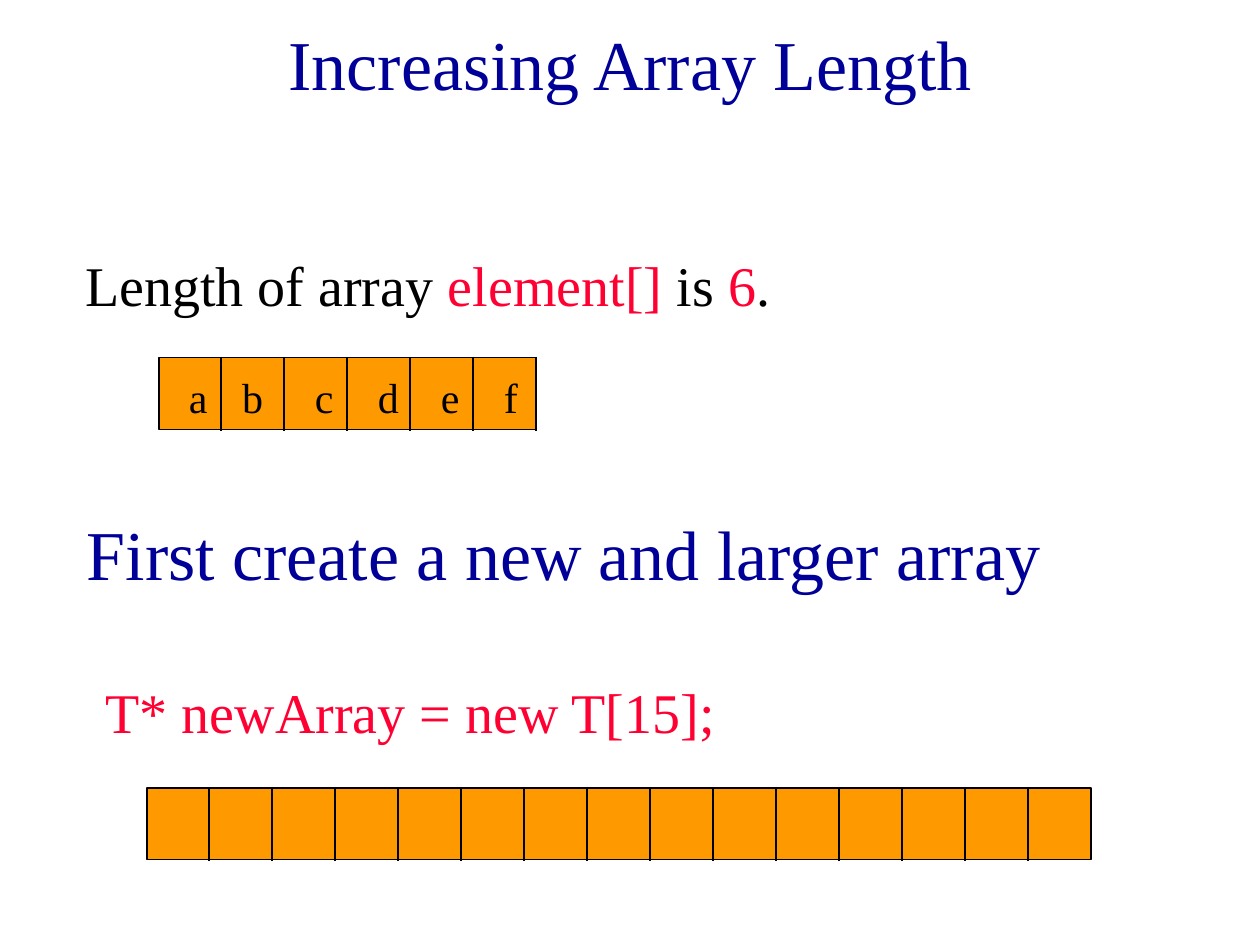
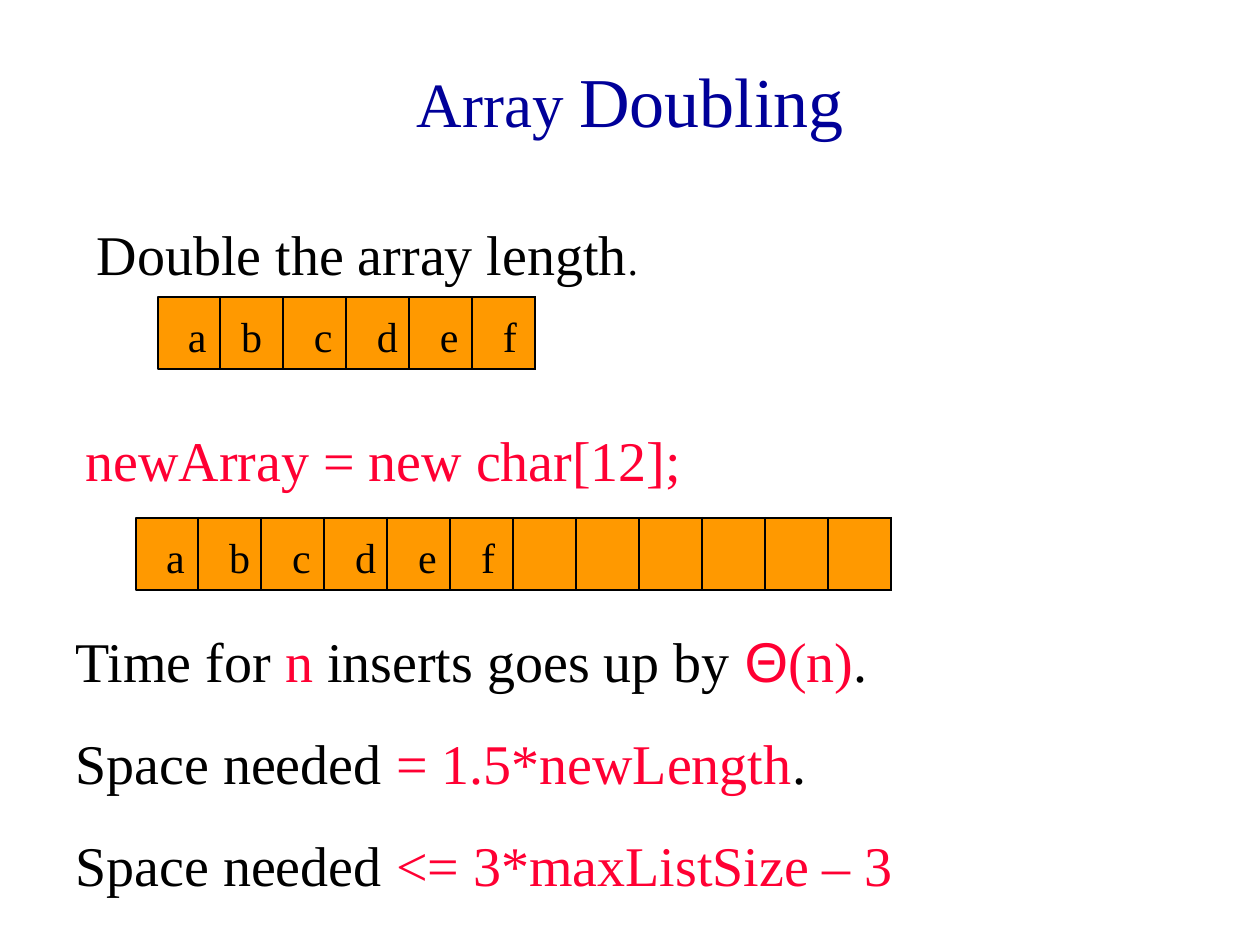
from lxml import etree
from pptx import Presentation, util as u
from pptx.dml.color import RGBColor
from pptx.enum import shapes, text
from pptx.oxml import ns

Cm = u.Cm

# Shared look
NAVY = RGBColor(0x00, 0x00, 0x99)
RED = RGBColor(0xFF, 0x00, 0x33)
BLACK = RGBColor(0x00, 0x00, 0x00)
ORANGE = RGBColor(0xFF, 0x99, 0x00)
FONT = "Times New Roman"
BODY, HEAD, SMALL = 32, 40, 24

# Array cells, in centimetres
STEP, TALL, GAP = 1.27, 1.45, 0.02
WIDTHS = {"a": 0.89, "b": 0.94, "c": 0.89, "d": 0.94, "e": 0.89, "f": 0.79}


def add_text(host, box, paras, wrap=True, grow=True, space=0):
    """Each paragraph is a list of runs: (words, colour, size, font)."""
    frame = host.add_textbox(*map(Cm, box)).text_frame
    frame.word_wrap = wrap
    if grow:
        frame.auto_size = text.MSO_AUTO_SIZE.SHAPE_TO_FIT_TEXT
    for i, runs in enumerate(paras):
        para = frame.add_paragraph() if i else frame.paragraphs[0]
        if i:
            para.space_before = u.Pt(space)
        for words, color, size, *face in runs:
            run = para.add_run()
            run.text = words
            run.font.name = face[0] if face else FONT
            run.font.size = u.Pt(size)
            run.font.color.rgb = color
    return frame


def add_title(host, top, tall, runs):
    frame = add_text(host, (1.91, top, 21.59, tall), [runs], grow=False)
    frame.vertical_anchor = text.MSO_ANCHOR.MIDDLE
    frame.paragraphs[0].alignment = text.PP_ALIGN.CENTER


def add_lead(host, left, top, runs):
    frame = add_text(host, (left, top, 21.59, 1.47), [runs], grow=False)
    frame.paragraphs[0].line_spacing = 0.9


def add_line(host, x, top, end):
    line = host.add_connector(shapes.MSO_CONNECTOR.STRAIGHT,
                              Cm(x), Cm(top), Cm(x), Cm(end))
    line.line.color.rgb = BLACK
    line.line.width = u.Pt(1)
    etree.SubElement(line._element.spPr, ns.qn("a:effectLst"))


def add_cells(host, left, top, count, marks="", closed=True, shift=0):
    """A row of equal cells; shift moves the second letter."""
    row = host.add_group_shape().shapes
    bar = row.add_shape(shapes.MSO_SHAPE.RECTANGLE, Cm(left), Cm(top),
                        Cm(count * STEP - GAP), Cm(TALL))
    bar.shadow.inherit = False
    bar.fill.solid()
    bar.fill.fore_color.rgb = ORANGE
    bar.line.color.rgb = BLACK
    bar.line.width = u.Pt(1)
    for i in range(1, count + closed):
        add_line(row, left + i * STEP - GAP, top - GAP, top + TALL + GAP)
    for i, mark in enumerate(marks):
        x = left + 0.36 + i * STEP + (shift if i == 1 else 0)
        add_text(row, (x, top + 0.15, WIDTHS[mark], 1.27),
                 [[(mark, BLACK, SMALL)]], wrap=False)


def draw_grow(host):
    add_title(host, 0, 2.54, [("Increasing Array Length", NAVY, HEAD)])
    add_lead(host, 1.47, 5.08, [
        ("Length of array ", BLACK, BODY), ("element[]", RED, BODY),
        (" is", BLACK, BODY), (" 6", RED, BODY), (".", BLACK, BODY)])
    add_cells(host, 3.2, 7.21, 6, "abcdef", shift=-0.2)
    add_cells(host, 2.97, 15.88, 15, closed=False)
    add_text(host, (1.88, 13.54, 17.81, 1.6),
             [[("T* newArray = new T[15];", RED, BODY)]])
    add_text(host, (1.5, 10.16, 19.76, 1.96),
             [[("First create a new and larger array", NAVY, HEAD)]],
             wrap=False)


def draw_double(host):
    add_title(host, 0.84, 2.34,
              [("Array ", NAVY, 36), ("Doubling", NAVY, HEAD)])
    add_lead(host, 1.7, 4.45, [("Double the array length", BLACK, BODY),
                               (".", BLACK, SMALL)])
    add_cells(host, 3.18, 5.99, 6, "abcdef", shift=-0.2)
    add_text(host, (1.47, 8.46, 15.88, 1.6),
             [[("newArray = new char[12];", RED, BODY)]])
    add_cells(host, 2.74, 10.44, 12, "abcdef")
    # Cost in time and space
    add_text(host, (1.27, 12.5, 22.43, 5.74), [
        [("Time for", BLACK, BODY), (" n ", RED, BODY),
         ("inserts goes up by ", BLACK, BODY), ("Θ", RED, BODY, "Arial"),
         ("(n)", RED, BODY), (".", BLACK, BODY)],
        [("Space needed ", BLACK, BODY), ("= 1.5*newLength", RED, BODY),
         (".", BLACK, BODY)],
        [("Space needed ", BLACK, BODY),
         ("<= 3*maxListSize – 3", RED, BODY)]], space=20)


def main():
    deck = Presentation()
    deck.slide_width, deck.slide_height = Cm(25.4), Cm(19.05)
    for draw in (draw_grow, draw_double):
        draw(deck.slides.add_slide(deck.slide_layouts[6]).shapes)
    deck.save("out.pptx")


if __name__ == "__main__":
    main()
